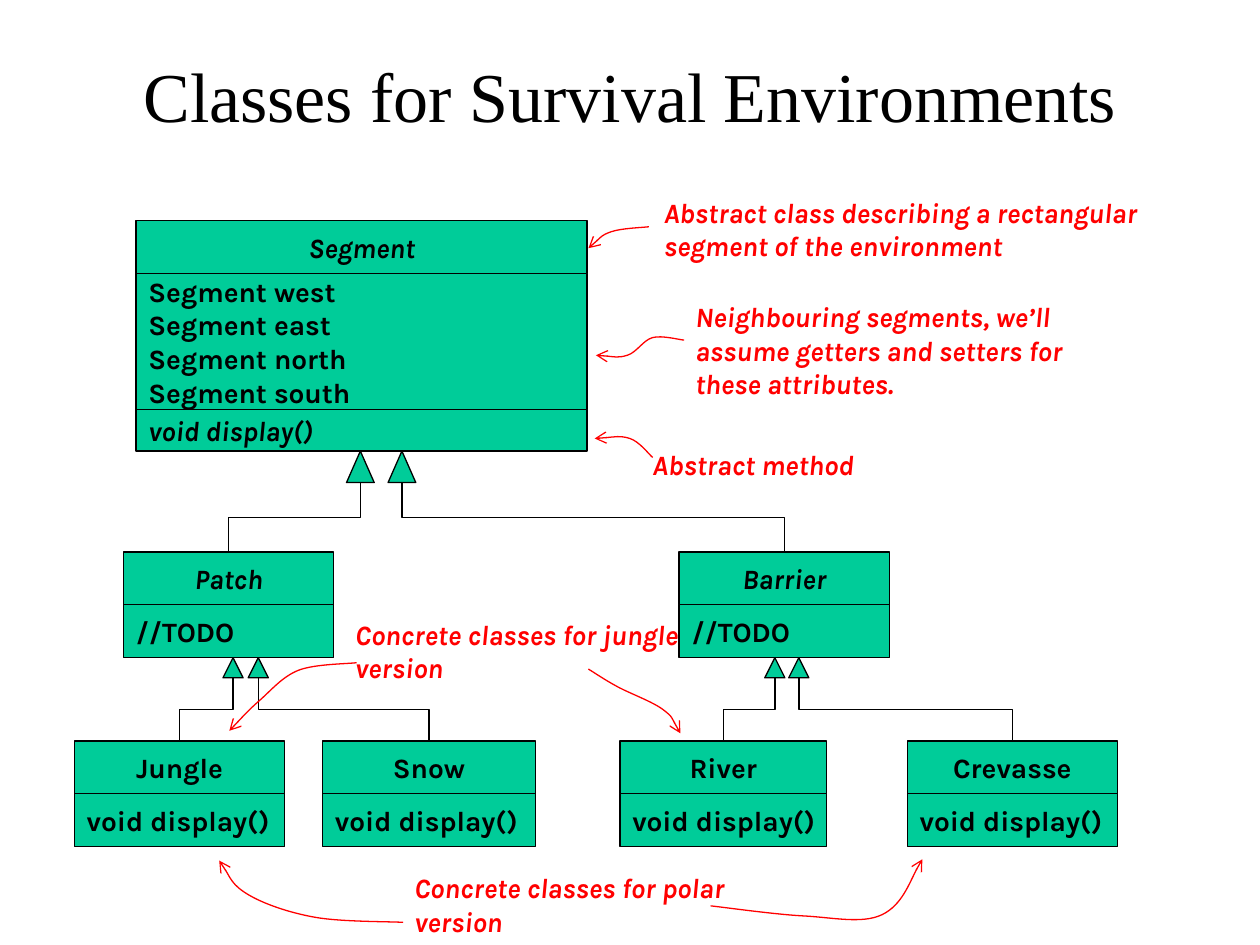
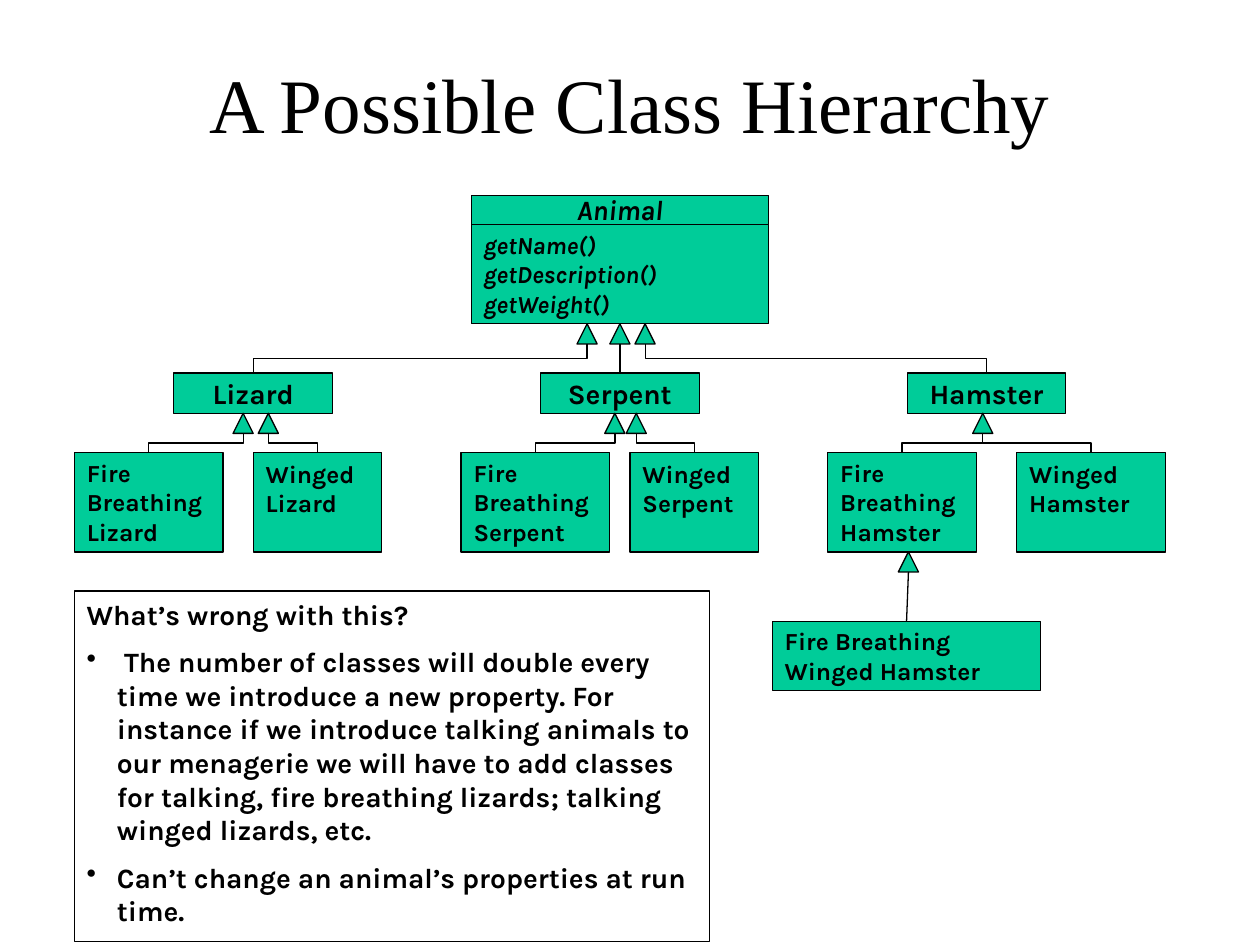
"""Builds two slides of class diagrams: survival environments and an animal hierarchy."""
import lxml.etree
import pptx
import pptx.dml.color
import pptx.enum.shapes
import pptx.enum.text
import pptx.oxml.ns
import pptx.util

PX = 9144
SLIDE_SIZE = (1000, 750)
TITLE_LAYOUT = 5
BLACK = pptx.dml.color.RGBColor(0, 0, 0)
WHITE = pptx.dml.color.RGBColor(255, 255, 255)
GREEN = pptx.dml.color.RGBColor(0, 204, 153)
RED = pptx.dml.color.RGBColor(255, 0, 0)
LEFT = pptx.enum.text.PP_ALIGN.LEFT
CENTER = pptx.enum.text.PP_ALIGN.CENTER
TOP = pptx.enum.text.MSO_ANCHOR.TOP
MIDDLE = pptx.enum.text.MSO_ANCHOR.MIDDLE
SHAPES = pptx.enum.shapes.MSO_SHAPE
CONNECTORS = pptx.enum.shapes.MSO_CONNECTOR
qn = pptx.oxml.ns.qn


def style(size=16, italic=False, align=LEFT, wrap=False, anchor=MIDDLE,
          color=BLACK, name="Karla", bold=True, margin_top=5):
    """Return the format values for one kind of text."""
    return {
        "frame": {"word_wrap": wrap, "vertical_anchor": anchor, "margin_top": margin_top * PX,
                  "auto_size": pptx.enum.text.MSO_AUTO_SIZE.NONE},
        "font": {"name": name, "size": pptx.util.Pt(size), "bold": bold, "italic": italic},
        "color": color,
        "align": align,
    }


def title_style(size):
    """Return the title format at the given size."""
    return style(size, align=CENTER, wrap=True, anchor=TOP, name="Times New Roman",
                 bold=False, margin_top=12)


ABSTRACT = style(italic=True, align=CENTER)
CONCRETE = style(align=CENTER)
MEMBERS = style()
ABSTRACT_MEMBERS = style(italic=True)
GETTERS = style(14, italic=True)
FIRE = style(14, wrap=True)
WINGED = style(14, wrap=True, anchor=TOP)
NOTE = style(italic=True, wrap=True, anchor=TOP, color=RED)
QUESTION = style(wrap=True, anchor=TOP)

ROW = 42
SPECIES_ROW = 32
SPECIES_WIDTH = 126
SPECIES_STEP = 291
CHILD_HEIGHT = 79
FIRE_WIDTH = 118
PATCH_TOP, CONCRETE_TOP = 438, 588
SPECIES_TOP, CHILD_TOP = 296, 359
NOTE_PADDING, NOTE_LINE = 10, 27
BULLET_INDENT = 24

PARTS = [("Patch", 98), ("Barrier", 539)]
PART_WIDTH = 167
CONCRETES = [("Jungle", 59, 167), ("Snow", 256, 169), ("River", 492, 164), ("Crevasse", 720, 167)]
SPECIES = [("Lizard", 59, 201, 102), ("Serpent", 366, 500, 102), ("Hamster", 657, 807, 118)]

ENVIRONMENTS = {
    "title": ("Classes for Survival Environments", (50, 30, 900, 125), title_style(40)),
    "classes": {
        "Segment": (108, 175, 358, [
            (ROW, "Segment", ABSTRACT),
            (108, "Segment west\nSegment east\nSegment north\nSegment south", MEMBERS),
            (33, "void display()", ABSTRACT_MEMBERS)]),
        **{name: (left, PATCH_TOP, PART_WIDTH,
                  [(ROW, name, ABSTRACT), (ROW, "//TODO", MEMBERS)])
           for name, left in PARTS},
        **{name: (left, CONCRETE_TOP, width,
                  [(ROW, name, CONCRETE), (ROW, "void display()", MEMBERS)])
           for name, left, width in CONCRETES},
    },
    "inheritance": [
        ("Segment", 286, ["Patch"]),
        ("Segment", 319, ["Barrier"]),
        ("Patch", 185, ["Jungle"]),
        ("Patch", 205, ["Snow"]),
        ("Barrier", 615, ["River"]),
        ("Barrier", 634, ["Crevasse"]),
    ],
    "triangles": {"Segment": (22, 25)},
    "notes": [
        (517, 150, 458, 2, "Abstract class describing a rectangular segment of the environment"),
        (542, 233, 350, 3,
         "Neighbouring segments, we’ll assume getters and setters for these attributes."),
        (508, 350, 283, 1, "Abstract method"),
        (272, 485, 283, 2, "Concrete classes for jungle version"),
        (319, 686, 283, 2, "Concrete classes for polar version"),
    ],
    "pointers": [
        [(515, 180), (485, 184), (467, 197)],
        [(543, 270), (518, 268), (498, 282), (473, 282)],
        [(518, 363), (500, 348), (472, 348)],
        [(283, 526), (237, 532), (206, 556), (182, 580)],
        [(467, 531), (490, 545), (526, 563), (540, 582)],
        [(564, 719), (638, 727), (700, 726), (732, 682)],
        [(320, 732), (250, 728), (197, 710), (174, 683)],
    ],
}

ANIMALS = {
    "title": ("A Possible Class Hierarchy", (75, 33, 850, 125), title_style(44)),
    "classes": {
        "Animal": (374, 155, 236, [
            (23, "Animal", ABSTRACT),
            (CHILD_HEIGHT, "getName()\ngetDescription()\ngetWeight()", GETTERS)]),
        **{name: (138 + SPECIES_STEP * index, SPECIES_TOP, SPECIES_WIDTH,
                  [(SPECIES_ROW, name, CONCRETE)])
           for index, (name, *_) in enumerate(SPECIES)},
        **{f"Fire {name}": (left, CHILD_TOP, FIRE_WIDTH,
                            [(CHILD_HEIGHT, f"Fire\nBreathing {name}", FIRE)])
           for name, left, *_ in SPECIES},
        **{f"Winged {name}": (left, CHILD_TOP, width,
                              [(CHILD_HEIGHT, f"Winged {name}", WINGED)])
           for name, _, left, width in SPECIES},
        "Fire Winged Hamster": (613, 493, 213, [(55, "Fire Breathing Winged Hamster", FIRE)]),
    },
    "inheritance": [
        ("Animal", 466, ["Lizard"]),
        ("Animal", 492, ["Serpent"]),
        ("Animal", 512, ["Hamster"]),
        ("Lizard", 193, ["Fire Lizard"]),
        ("Lizard", 213, ["Winged Lizard"]),
        ("Serpent", 488, ["Fire Serpent"]),
        ("Serpent", 505, ["Winged Serpent"]),
        ("Hamster", 780, ["Fire Hamster", "Winged Hamster"]),
        ("Fire Hamster", 721, ["Fire Winged Hamster"]),
    ],
    "triangles": {},
    "notes": [],
    "pointers": [],
}
SMALL_TRIANGLE = (16, 16)

QUESTION_BOX = (59, 469, 504, 278)
QUESTION_LINES = [
    "What’s wrong with this?",
    " The number of classes will double every time we introduce a new property. For instance "
    "if we introduce talking animals to our menagerie we will have to add classes for talking, "
    "fire breathing lizards; talking winged lizards, etc.",
    "Can’t change an animal’s properties at run time.",
]


def emu(*lengths):
    """Turn px into EMU."""
    return [round(length * PX) for length in lengths]


def write_text(frame, text, look):
    """Put formatted text into a text frame."""
    frame.text = text
    for key, value in look["frame"].items():
        setattr(frame, key, value)
    for paragraph in frame.paragraphs:
        paragraph.alignment = look["align"]
        for run in paragraph.runs:
            run.font.color.rgb = look["color"]
            for key, value in look["font"].items():
                setattr(run.font, key, value)


def set_line(shape, color=BLACK):
    """Give a shape or connector its thin outline."""
    shape.line.color.rgb = color
    shape.line.width = pptx.util.Pt(0.75)


def add_box(slide, kind, box, fill=GREEN):
    """Add a filled, outlined preset shape."""
    shape = slide.shapes.add_shape(kind, *emu(*box))
    shape.shadow.inherit = False
    shape.fill.solid()
    shape.fill.fore_color.rgb = fill
    set_line(shape)
    return shape


def add_class(slide, left, top, width, sections):
    """Stack the sections of a class and return its boxes."""
    boxes = []
    for height, text, look in sections:
        box = add_box(slide, SHAPES.RECTANGLE, (left, top, width, height))
        write_text(box.text_frame, text, look)
        boxes.append(box)
        top += height
    return boxes


def add_link(slide, start_x, start_y, child):
    """Join an inheritance triangle to the top middle of a child class."""
    end_x, end_y = (child.left + child.width / 2) / PX, child.top / PX
    across, down = abs(end_x - start_x), end_y - start_y
    if across < 3:
        connector = slide.shapes.add_connector(
            CONNECTORS.STRAIGHT, *emu(start_x, start_y, end_x, end_y))
        connector.end_connect(child, 0)
    else:
        middle_x, middle_y = (start_x + end_x) / 2, (start_y + end_y) / 2
        connector = slide.shapes.add_connector(CONNECTORS.ELBOW, *emu(
            middle_x - down / 2, middle_y - across / 2,
            middle_x + down / 2, middle_y + across / 2))
        frame = connector.element.spPr.find(qn("a:xfrm"))
        if end_x < start_x:
            frame.set("rot", "5400000")
        else:
            frame.set("rot", "16200000")
            frame.set("flipH", "1")
    set_line(connector)
    lxml.etree.SubElement(connector.element.spPr, qn("a:effectLst"))


def smooth_points(points):
    """Return two control points and an end point for each span of a smooth curve."""
    padded = [points[0], *points, points[-1]]
    result = []
    for before, start, end, after in zip(padded, padded[1:], padded[2:], padded[3:]):
        result.append([s + (e - b) / 6 for b, s, e in zip(before, start, end)])
        result.append([e - (a - s) / 6 for s, e, a in zip(start, end, after)])
        result.append(end)
    return result


def add_pointer(slide, points):
    """Draw a red curved arrow through the points."""
    builder = slide.shapes.build_freeform(*emu(*points[0]))
    builder.add_line_segments([emu(*point) for point in smooth_points(points)], close=False)
    arrow = builder.convert_to_shape()
    arrow.shadow.inherit = False
    arrow.fill.background()
    set_line(arrow, RED)
    outline = arrow.element.spPr.find(".//" + qn("a:path"))
    segments = outline.findall(qn("a:lnTo"))
    for first in range(0, len(segments), 3):
        curve = lxml.etree.SubElement(outline, qn("a:cubicBezTo"))
        for segment in segments[first:first + 3]:
            curve.append(segment[0])
            outline.remove(segment)
    line = arrow.element.spPr.find(qn("a:ln"))
    lxml.etree.SubElement(line, qn("a:tailEnd")).set("type", "arrow")


def add_diagram(presentation, diagram):
    """Add a titled slide with its classes, inheritance and notes."""
    slide = presentation.slides.add_slide(presentation.slide_layouts[TITLE_LAYOUT])
    text, box, look = diagram["title"]
    title = slide.shapes.title
    title.left, title.top, title.width, title.height = emu(*box)
    write_text(title.text_frame, text, look)
    for left, top, width, lines, text in diagram["notes"]:
        height = NOTE_PADDING + NOTE_LINE * lines
        note = slide.shapes.add_textbox(*emu(left, top, width, height))
        write_text(note.text_frame, text, NOTE)
    classes = {name: add_class(slide, *parts) for name, parts in diagram["classes"].items()}
    for parent, tip_x, children in diagram["inheritance"]:
        width, height = diagram["triangles"].get(parent, SMALL_TRIANGLE)
        last_box = classes[parent][-1]
        tip_y = (last_box.top + last_box.height) / PX
        for child in children:
            add_link(slide, tip_x, tip_y + height, classes[child][0])
        add_box(slide, SHAPES.ISOSCELES_TRIANGLE, (tip_x - width / 2, tip_y, width, height))
    for points in diagram["pointers"]:
        add_pointer(slide, points)
    return slide


def add_question(slide):
    """Add the white box with the question and its bulleted answers."""
    box = add_box(slide, SHAPES.RECTANGLE, QUESTION_BOX, WHITE)
    write_text(box.text_frame, "\n".join(QUESTION_LINES), QUESTION)
    for paragraph in box.text_frame.paragraphs[1:]:
        paragraph.space_before = pptx.util.Pt(8)
        properties = paragraph._p.get_or_add_pPr()
        properties.set("marL", str(BULLET_INDENT * PX))
        properties.set("indent", str(-BULLET_INDENT * PX))
        lxml.etree.SubElement(properties, qn("a:buChar")).set("char", "•")


def main():
    """Build and save the presentation."""
    presentation = pptx.Presentation()
    presentation.slide_width, presentation.slide_height = emu(*SLIDE_SIZE)
    add_diagram(presentation, ENVIRONMENTS)
    add_question(add_diagram(presentation, ANIMALS))
    presentation.save("out.pptx")


if __name__ == "__main__":
    main()
